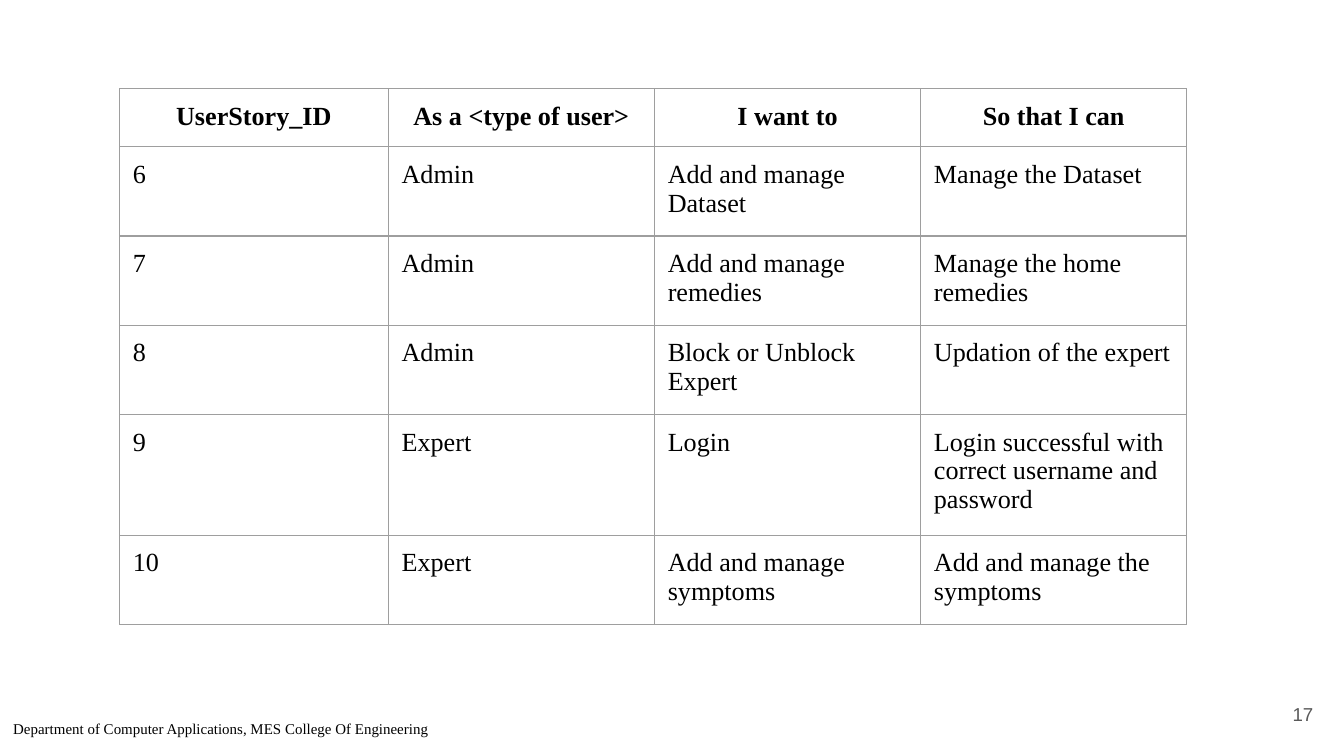
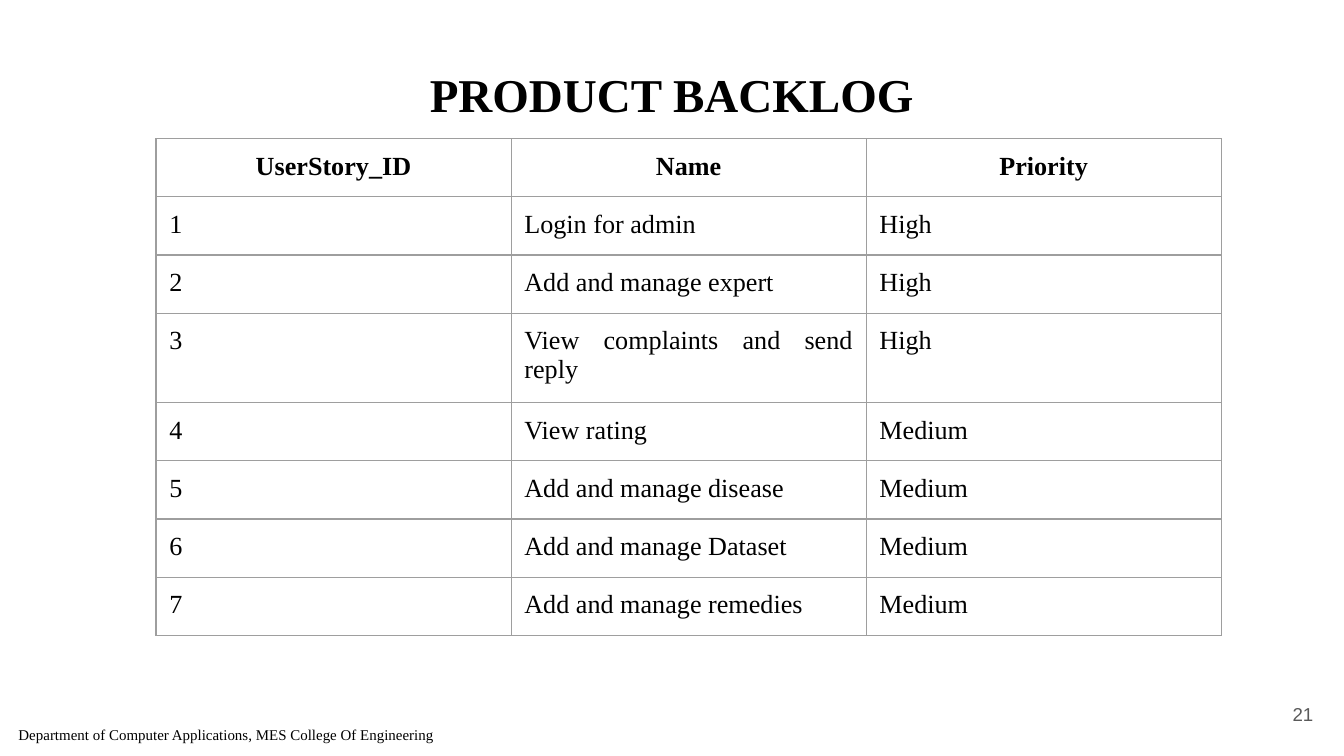
"""Build two user story slides, each with a table, a department footer and a page number."""
import dataclasses

import lxml.etree
import pptx
import pptx.dml.color
import pptx.enum.text
import pptx.oxml.ns
import pptx.util

Cm = pptx.util.Cm
Align = pptx.enum.text.PP_ALIGN
Anchor = pptx.enum.text.MSO_ANCHOR
AutoSize = pptx.enum.text.MSO_AUTO_SIZE


@dataclasses.dataclass(frozen=True)
class Theme:
    text_color: str = "000000"
    number_color: str = "595959"
    border_color: str = "9E9E9E"
    text_font: str = "Times New Roman"
    number_font: str = "Arial"
    title_size: float = 25.2
    table_size: float = 14
    number_size: float = 10
    footer_size: float = 8
    border_width: float = 0.75
    inset: float = 0.25


theme = Theme()


def write_text(frame, text, size, font=theme.text_font, color=theme.text_color,
               bold=False, align=Align.LEFT, anchor=Anchor.TOP, auto_size=AutoSize.NONE):
    frame.text = text
    frame.word_wrap = True
    frame.auto_size = auto_size
    frame.vertical_anchor = anchor
    frame.margin_left = frame.margin_right = Cm(theme.inset)
    frame.margin_top = frame.margin_bottom = Cm(theme.inset)
    for paragraph in frame.paragraphs:
        paragraph.alignment = align
        for run in paragraph.runs:
            run.font.name = font
            run.font.size = pptx.util.Pt(size)
            run.font.bold = bold
            run.font.color.rgb = pptx.dml.color.RGBColor.from_string(color)


def draw_borders(cell):
    properties = cell._tc.get_or_add_tcPr()
    qualify = pptx.oxml.ns.qn
    for index, side in enumerate(("a:lnL", "a:lnR", "a:lnT", "a:lnB")):
        line = lxml.etree.Element(qualify(side), w=str(pptx.util.Pt(theme.border_width)))
        fill = lxml.etree.SubElement(line, qualify("a:solidFill"))
        lxml.etree.SubElement(fill, qualify("a:srgbClr"), val=theme.border_color)
        properties.insert(index, line)


footer_text = "Department of Computer Applications, MES College Of Engineering"
pages = [
    {
        "title": None,
        "number": "17",
        "footer": (0, 13.44, 13.89),
        "table": (2.26, 1.68),
        "columns": [5.08, 5.03, 5.03, 5.03],
        "heights": [1.06, 1.6, 1.6, 1.6, 2.15, 1.6],
        "justified": {(1, 3)},
        "rows": [
            ("UserStory_ID", "As a <type of user>", "I want to", "So that I can"),
            ("6", "Admin", "Add and manage Dataset", "Manage the Dataset"),
            ("7", "Admin", "Add and manage remedies", "Manage the home remedies"),
            ("8", "Admin", "Block or Unblock\nExpert", "Updation of the expert"),
            ("9", "Expert", "Login", "Login successful with correct username and password"),
            ("10", "Expert", "Add and manage symptoms", "Add and manage the symptoms"),
        ],
    },
    {
        "title": "PRODUCT BACKLOG",
        "number": "21",
        "footer": (0.1, 13.54, 14.05),
        "table": (2.95, 2.62),
        "columns": [6.71] * 3,
        "heights": [1.1] * 3 + [1.69] + [1.1] * 4,
        "justified": {(row, 1) for row in range(1, 6)},
        "rows": [
            ("UserStory_ID", "Name", "Priority"),
            ("1", "Login for admin", "High"),
            ("2", "Add and manage expert", "High"),
            ("3", "View complaints and send reply", "High"),
            ("4", "View rating", "Medium"),
            ("5", "Add and manage disease", "Medium"),
            ("6", "Add and manage Dataset", "Medium"),
            ("7", "Add and manage remedies", "Medium"),
        ],
    },
]

presentation = pptx.Presentation()
presentation.slide_width = Cm(25.4)
presentation.slide_height = Cm(14.29)
title_layout, blank_layout = presentation.slide_layouts[5], presentation.slide_layouts[6]

for page in pages:
    slide = presentation.slides.add_slide(title_layout if page["title"] else blank_layout)
    if page["title"]:
        title = slide.shapes.title
        title.left, title.top, title.width, title.height = Cm(0.86), Cm(0.99), Cm(23.67), Cm(1.17)
        write_text(title.text_frame, page["title"], theme.title_size, bold=True, align=Align.CENTER)

    left, top, width = page["footer"]
    footer = slide.shapes.add_textbox(Cm(left), Cm(top), Cm(width), Cm(1.19))
    write_text(footer.text_frame, footer_text, theme.footer_size,
               auto_size=AutoSize.SHAPE_TO_FIT_TEXT)

    left, top = page["table"]
    rows, columns, heights = page["rows"], page["columns"], page["heights"]
    table = slide.shapes.add_table(len(rows), len(columns), Cm(left), Cm(top),
                                   Cm(sum(columns)), Cm(sum(heights))).table
    table.first_row = table.horz_banding = False
    for column, width in zip(table.columns, columns):
        column.width = Cm(width)
    for row_index, (row, height, texts) in enumerate(zip(table.rows, heights, rows)):
        row.height = Cm(height)
        for column_index, (cell, text) in enumerate(zip(row.cells, texts)):
            is_header = row_index == 0
            is_justified = (row_index, column_index) in page["justified"]
            align = Align.CENTER if is_header else Align.JUSTIFY if is_justified else Align.LEFT
            write_text(cell.text_frame, text, theme.table_size, bold=is_header, align=align)
            cell.margin_left = cell.margin_right = Cm(theme.inset)
            cell.margin_top = cell.margin_bottom = Cm(theme.inset)
            cell.fill.background()
            draw_borders(cell)

    number = slide.shapes.add_textbox(Cm(23.55), Cm(12.95), Cm(1.52), Cm(1.09))
    write_text(number.text_frame, page["number"], theme.number_size, font=theme.number_font,
               color=theme.number_color, align=Align.RIGHT, anchor=Anchor.MIDDLE)

presentation.save("out.pptx")
